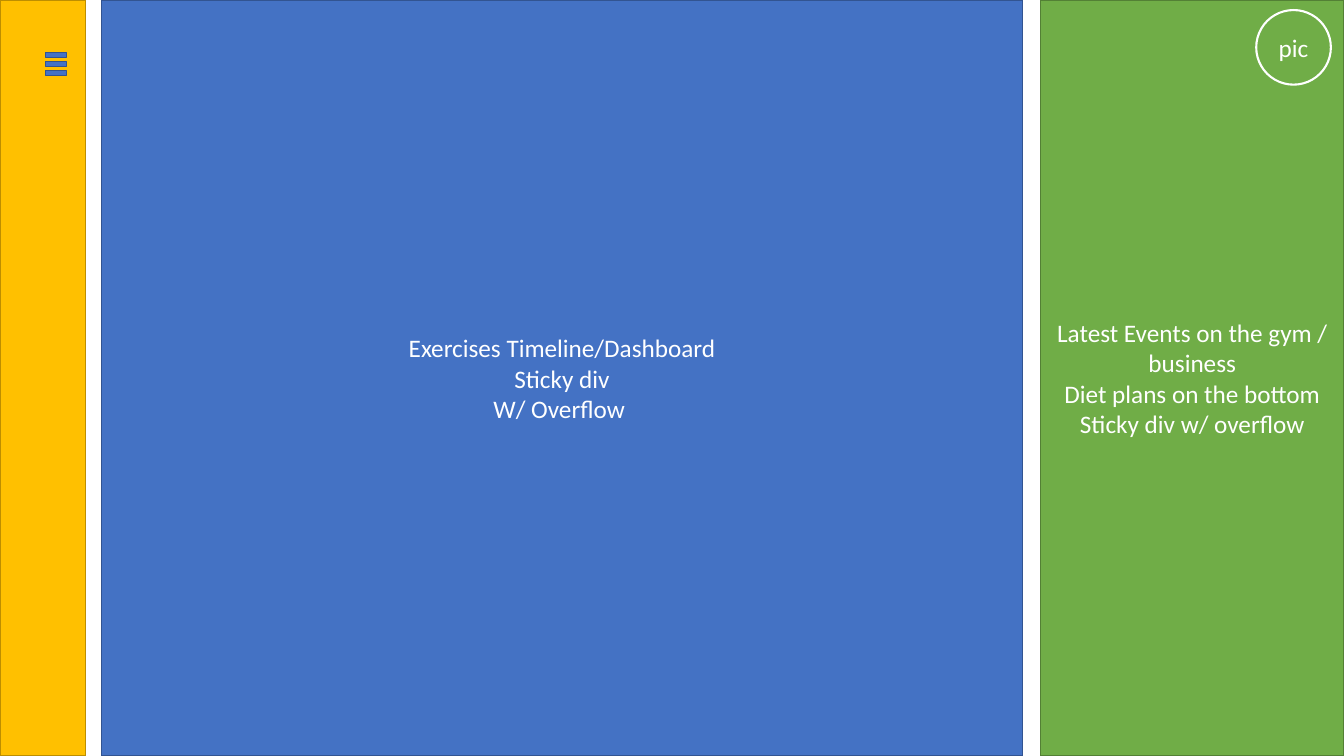
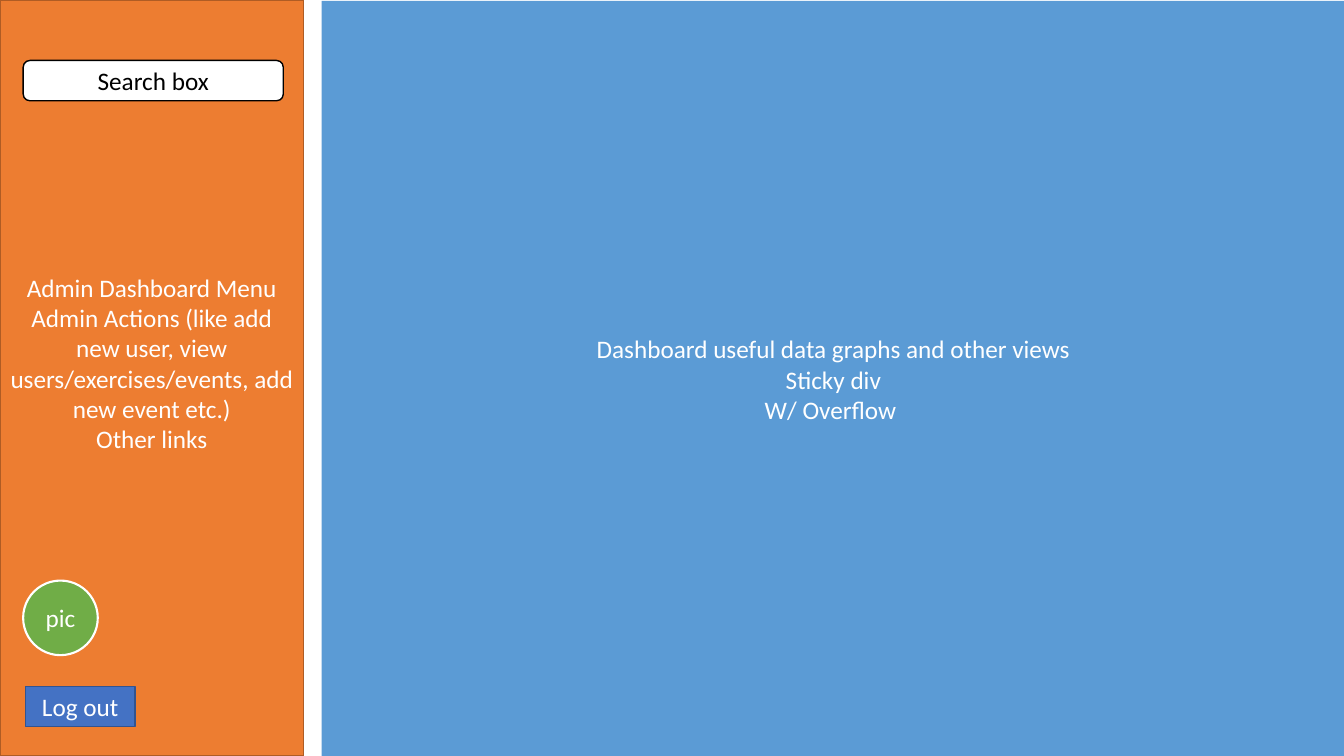
from dataclasses import dataclass

from pptx import Presentation
from pptx.dml.color import RGBColor
from pptx.enum import shapes, text
from pptx.util import Inches, Pt


@dataclass(frozen=True)
class Theme:
    """Colours as (fill, outline) pairs, plus type and line sizes."""
    yellow = ("FFC000", "BD8E00")
    blue = ("4472C4", "325491")
    green = ("70AD47", "538035")
    orange = ("ED7D31", "AF5C24")
    light_blue = ("5B9BD5", None)
    avatar = ("70AD47", "FFFFFF")
    field = ("FFFFFF", "000000")
    light_text = "FFFFFF"
    dark_text = "000000"
    font = "Calibri"
    text_size = 18
    thin_line = 1
    avatar_line = 1.5


class Wireframe:
    """Draws wireframe elements on the current slide."""
    WIDTH, HEIGHT = 13.33, 7.5
    AVATAR_SIZE = 0.74

    def __init__(self, theme):
        self.theme = theme
        self.presentation = Presentation()
        self.presentation.slide_width = Inches(self.WIDTH)
        self.presentation.slide_height = Inches(self.HEIGHT)
        self.slide = None

    def new_slide(self):
        blank_layout = self.presentation.slide_layouts[6]
        self.slide = self.presentation.slides.add_slide(blank_layout)

    def box(self, left, top, width, height, colours, lines=(),
            kind=shapes.MSO_SHAPE.RECTANGLE, line_width=None, text_colour=None):
        shape = self.slide.shapes.add_shape(
            kind, Inches(left), Inches(top), Inches(width), Inches(height))
        shape.shadow.inherit = False
        fill, outline = colours
        shape.fill.solid()
        shape.fill.fore_color.rgb = RGBColor.from_string(fill)
        if outline:
            shape.line.color.rgb = RGBColor.from_string(outline)
            shape.line.width = Pt(line_width or self.theme.thin_line)
        else:
            shape.line.fill.background()
        if lines:
            self.label(shape, lines, text_colour or self.theme.light_text)
        return shape

    def label(self, shape, lines, colour):
        frame = shape.text_frame
        frame.word_wrap = True
        frame.vertical_anchor = text.MSO_ANCHOR.MIDDLE
        frame.text = "\n".join(lines)
        for paragraph in frame.paragraphs:
            paragraph.alignment = text.PP_ALIGN.CENTER
            paragraph.font.name = self.theme.font
            paragraph.font.size = Pt(self.theme.text_size)
            paragraph.font.color.rgb = RGBColor.from_string(colour)

    def panel(self, left, width, colours, lines=(), top=0):
        """A full-height column of the page."""
        return self.box(left, top, width, self.HEIGHT, colours, lines)

    def avatar(self, left, top):
        self.box(left, top, self.AVATAR_SIZE, self.AVATAR_SIZE,
                 self.theme.avatar, ["pic"], shapes.MSO_SHAPE.OVAL,
                 self.theme.avatar_line)

    def menu_icon(self, left, top, bars=3, pitch=0.09):
        for index in range(bars):
            self.box(left, top + index * pitch, 0.21, 0.05, self.theme.blue)

    def search_field(self, left, top, width, caption):
        self.box(left, top, width, 0.4, self.theme.field, [caption],
                 shapes.MSO_SHAPE.ROUNDED_RECTANGLE,
                 text_colour=self.theme.dark_text)

    def button(self, left, top, width, caption):
        self.box(left, top, width, 0.4, self.theme.blue, [caption])


def main():
    theme = Theme()
    page = Wireframe(theme)
    overflow_note = ["Sticky div", "W/ Overflow "]

    # Member page: collapsed menu, timeline, events
    page.new_slide()
    page.panel(0, 0.85, theme.yellow)
    page.panel(1.01, 9.13, theme.blue,
               ["Exercises Timeline/Dashboard", *overflow_note])
    page.panel(10.32, 3.01, theme.green,
               ["Latest Events on the gym / business",
                "Diet plans on the bottom",
                "Sticky div w/ overflow"])
    page.avatar(12.46, 0.1)
    page.menu_icon(0.45, 0.52)

    # Admin page: open menu, dashboard
    page.new_slide()
    menu = page.panel(0, 3.01, theme.orange,
                      ["Admin Dashboard Menu",
                       "Admin Actions (like add new user, view "
                       "users/exercises/events, add new event etc.)",
                       "Other links"])
    menu.text_frame.margin_bottom = Inches(0.35)  # lifts the text half a line
    page.panel(3.19, 10.15, theme.light_blue,
               ["Dashboard useful data graphs and other views", *overflow_note],
               top=0.01)
    page.avatar(0.23, 5.76)
    page.search_field(0.23, 0.6, 2.58, "Search box")
    page.button(0.25, 6.81, 1.09, "Log out")

    page.presentation.save("out.pptx")


if __name__ == "__main__":
    main()
